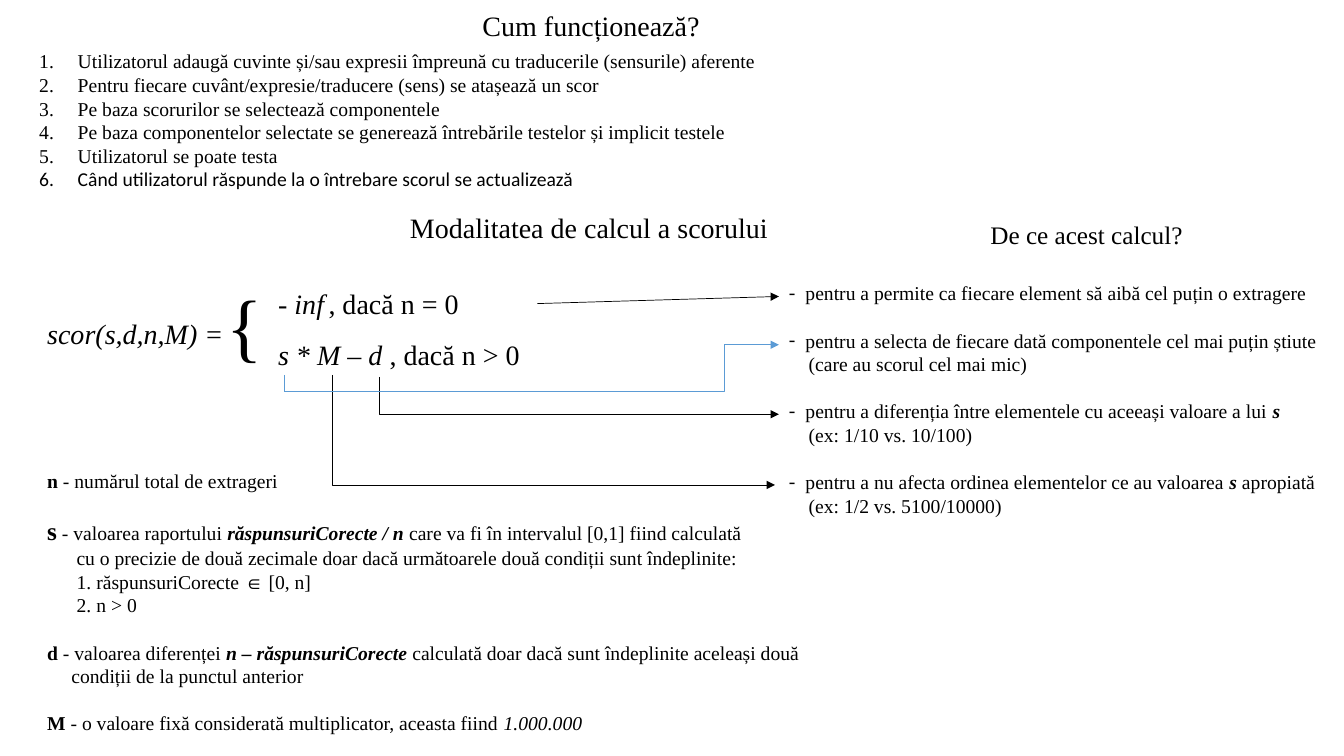
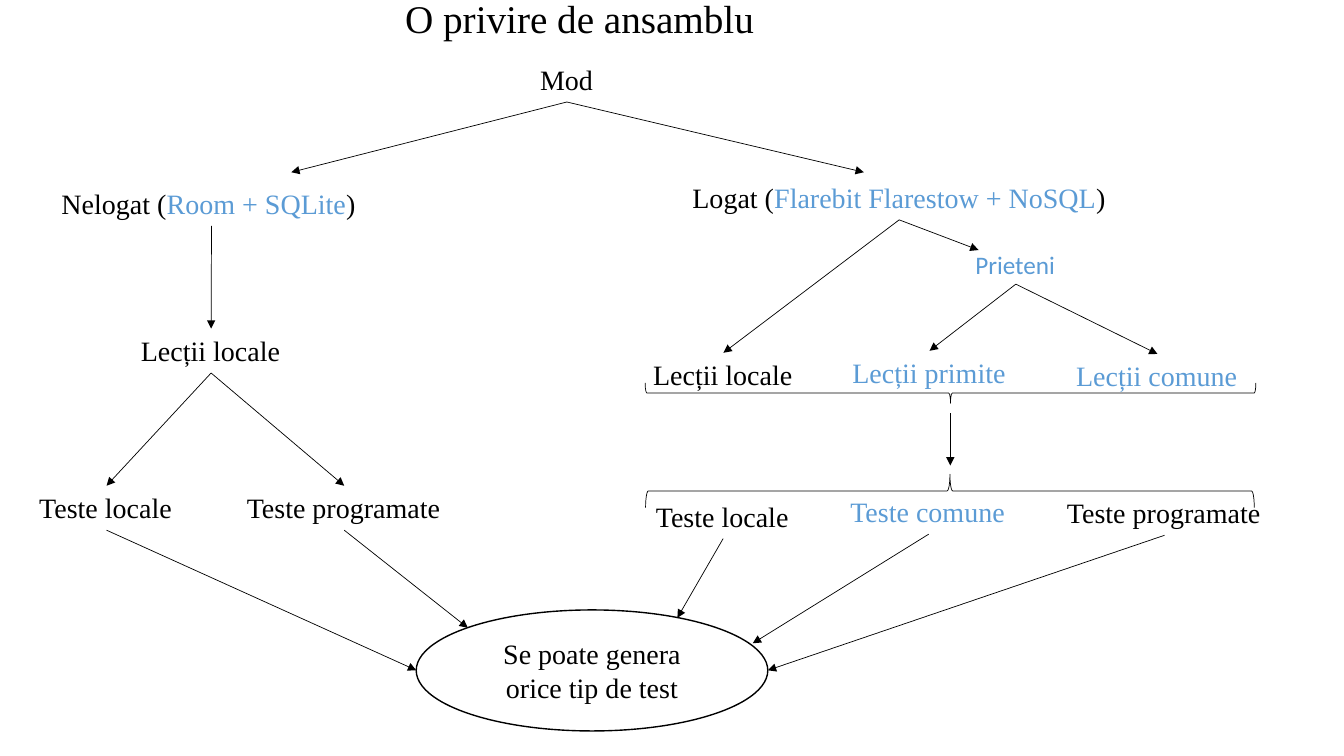
from lxml import etree
from pptx import Presentation
from pptx.dml.color import RGBColor
from pptx.enum.shapes import MSO_CONNECTOR, MSO_SHAPE
from pptx.enum.text import MSO_ANCHOR, MSO_AUTO_SIZE, PP_ALIGN
from pptx.oxml.ns import qn
from pptx.util import Cm, Pt

STRAIGHT, ELBOW = MSO_CONNECTOR.STRAIGHT, MSO_CONNECTOR.ELBOW
OVAL = MSO_SHAPE.OVAL
LEFT_BRACE, RIGHT_BRACE = MSO_SHAPE.LEFT_BRACE, MSO_SHAPE.RIGHT_BRACE
MIDDLE, CENTER = MSO_ANCHOR.MIDDLE, PP_ALIGN.CENTER
GROW = MSO_AUTO_SIZE.SHAPE_TO_FIT_TEXT

COLORS = {"ink": "000000", "blue": "5B9BD5", "paper": "FFFFFF"}
SERIF, SANS = "Times New Roman", "Calibri"
BODY, LABEL = 14, 20
LABEL_H = 1.12
GAP = 17  # points, one body line

# Run styles
B, I, BI = {"bold": True}, {"italic": True}, {"bold": True, "italic": True}
BLUE, CALIBRI = {"color": "blue"}, {"font": SANS}

# Slide 1 content: a paragraph is (layout, runs), a run is (text, style)
NUMBERED = {"left": 0.97, "hang": 0.97, "number": True}
STEPS = [
    (NUMBERED, [(text, style)]) for text, style in [
        ("Utilizatorul adaugă cuvinte și/sau expresii împreună cu traducerile (sensurile) aferente", {}),
        ("Pentru fiecare cuvânt/expresie/traducere (sens) se atașează un scor", {}),
        ("Pe baza scorurilor se selectează componentele", {}),
        ("Pe baza componentelor selectate se generează întrebările testelor și implicit testele", {}),
        ("Utilizatorul se poate testa", {}),
        ("Când utilizatorul răspunde la o întrebare scorul se actualizează", CALIBRI),
    ]
]

CONDITION = {"left": 1.24, "hang": 0.5, "number": True}
SPACED = {"before": GAP}
DEFINITIONS = [
    ({}, [("n", B), (" - numărul total de extrageri", {})]),
    (SPACED, [("s", {"bold": True, "size": 18}), (" ", B), ("- valoarea raportului ", {}),
              ("răspunsuriCorecte / n ", BI),
              ("care va fi în intervalul [0,1] fiind calculată", {})]),
    ({"left": 0.74}, [("cu o precizie de două zecimale doar dacă următoarele două condiții sunt îndeplinite:", {})]),
    (CONDITION, [("răspunsuriCorecte ∈ [0, n]", {})]),
    (CONDITION, [("n > 0", {})]),
    (SPACED, [("d", B), (" - valoarea diferenței ", {}), ("n – răspunsuriCorecte", BI),
              (" calculată doar dacă sunt îndeplinite aceleași două", {})]),
    ({"left": 0.61}, [("condiții de la punctul anterior", {})]),
    (SPACED, [("M", B), (" - o valoare fixă considerată multiplicator, aceasta fiind ", {}),
              ("1.000.000", I)]),
]

DASH = {"left": 0.42, "hang": 0.42, "bullet": "-"}
DASH_SPACED = {**DASH, **SPACED}
ASIDE = {"left": 0.5}
REASONS = [
    (DASH, [("pentru a permite ca fiecare element să aibă cel puțin o extragere", {})]),
    (DASH_SPACED, [("pentru a selecta de fiecare dată componentele cel mai puțin știute", {})]),
    (ASIDE, [("(care au scorul cel mai mic)", {})]),
    (DASH_SPACED, [("pentru a diferenția între elementele cu aceeași valoare a lui ", {}), ("s", BI)]),
    (ASIDE, [("(ex: 1/10 vs. 10/100)", {})]),
    (DASH_SPACED, [("pentru a nu afecta ordinea elementelor ce au valoarea ", {}), ("s", BI),
                   (" apropiată", {})]),
    (ASIDE, [("(ex: 1/2 vs. 5100/10000)", {})]),
]

# left, top, width, size, wrap, paragraphs
FORMULA_TEXTS = [
    (11.91, 0.08, 6.02, LABEL, False, [({}, [("Cum funcționează?", {})])]),
    (0.74, 1.12, 18.69, BODY, False, STEPS),
    (10.08, 5.18, 10, LABEL, True, [({}, [("Modalitatea de calcul a scorului", {})])]),
    (0.94, 7.85, 5.16, LABEL, False, [({}, [("scor(s,d,n,M) = ", I)])]),
    (6.76, 7.09, 7, LABEL, True, [({"tab": 2.92}, [("- inf\t", I), (", dacă n = 0", {})])]),
    (6.76, 8.38, 7, LABEL, True, [({}, [("s * M – d ", I), (", dacă n > 0", {})])]),
    (0.94, 11.68, 32.3, BODY, True, DEFINITIONS),
    (24.71, 5.41, 6, 18, True, [({}, [("De ce acest calcul?", {})])]),
    (19.63, 6.96, 14.2, BODY, True, REASONS),
    (5.46, 6.88, 1.96, 54, True, [({}, [("{", {})])]),
]
# start, end, bend position (None for straight), colour, arrowhead
FORMULA_LINES = [
    ((13.54, 7.65), (19.63, 7.47), None, "ink", True),
    ((8.38, 9.45), (19.53, 12.22), 0, "ink", True),
    ((9.55, 9.5), (19.63, 10.44), 0, "ink", True),
    ((7.16, 9.86), (19.63, 8.69), 0.89, "blue", True),
    ((7.16, 9.45), (7.16, 9.86), None, "blue", False),
]

# Slide 2 content: name -> left, top, width, runs
OVERVIEW_TITLE = (9.96, -0.28, 9.4, 28, False, [({}, [("O privire de ansamblu", {})])])
NODES = {
    "mode": (13.36, 1.45, 1.85, [("Mod", {})]),
    "offline": (1.3, 4.57, 8.05, [("Nelogat (", {}), ("Room + SQLite", BLUE), (")", {})]),
    "online": (17.2, 4.42, 10.92, [("Logat (", {}), ("Flarebit Flarestow + NoSQL", BLUE), (")", {})]),
    "lessons": (3.3, 8.28, 4.04, [("Lecții locale", {})]),
    "tests": (0.74, 12.24, 3.89, [("Teste locale", {})]),
    "scheduled": (5.97, 12.24, 5.41, [("Teste programate", {})]),
    "friends": (24.33, 6.15, 2.54, [("Prieteni", {"color": "blue", "font": SANS, "size": 18})]),
    "own lessons": (16.21, 8.89, 4.04, [("Lecții locale", {})]),
    "received": (21.23, 8.84, 4.39, [("Lecții primite", BLUE)]),
    "shared": (26.87, 8.92, 4.6, [("Lecții comune", BLUE)]),
    "own tests": (16.28, 12.45, 3.89, [("Teste locale", {})]),
    "shared tests": (21.18, 12.34, 4.45, [("Teste comune", BLUE)]),
    "online scheduled": (26.64, 12.37, 5.41, [("Teste programate", {})]),
}
# A link ends at a node's top centre, or at a given point
LINKS = [
    ("mode", (7.34, 4.34)), ("mode", (21.77, 4.34)),
    ("offline", "lessons"), ("lessons", "tests"), ("lessons", "scheduled"),
    ("online", "own lessons"), ("online", (24.66, 6.3)),
    ("friends", "received"), ("friends", "shared"),
    ("tests", (10.49, 16.89)), ("scheduled", (11.79, 15.82)),
    ("own tests", (17.07, 15.57)), ("shared tests", (18.97, 16.21)),
    ("online scheduled", (19.35, 16.89)),
]
BOTTOMS = {"offline": (5.33, 5.69), "online": (22.66, 5.54), "friends": (25.6, 7.16)}
BRACES = [(LEFT_BRACE, 23.7, 2.21, 0.51, 15.39), (RIGHT_BRACE, 23.52, 4.7, 0.84, 15.34)]
BRACE_ARROW = ((23.95, 10.41), (23.95, 11.73))
RESULT = (10.49, 15.37, 8.86, 3.05, "Se poate genera orice tip de test")


def rgb(name):
    return RGBColor.from_string(COLORS[name])


def add_run(p, text, size, style):
    r = p.add_run()
    r.text = text
    f = r.font
    f.name = style.get("font", SERIF)
    f.size = Pt(style.get("size", size))
    f.bold = style.get("bold", False)
    f.italic = style.get("italic", False)
    f.color.rgb = rgb(style.get("color", "ink"))


def lay_out(p, layout):
    p.space_before = Pt(layout.get("before", 0))
    props = p._p.get_or_add_pPr()
    props.set("marL", str(Cm(layout.get("left", 0))))
    props.set("indent", str(-Cm(layout.get("hang", 0))))
    if layout.get("number"):
        etree.SubElement(props, qn("a:buFont"), typeface="+mj-lt")
        etree.SubElement(props, qn("a:buAutoNum"), type="arabicPeriod")
    if "bullet" in layout:
        etree.SubElement(props, qn("a:buFont"), typeface=SERIF)
        etree.SubElement(props, qn("a:buChar"), char=layout["bullet"])
    if "tab" in layout:
        stops = etree.SubElement(props, qn("a:tabLst"))
        etree.SubElement(stops, qn("a:tab"), pos=str(Cm(layout["tab"])), algn="l")


def add_text(s, left, top, width, size, wrap, paragraphs):
    tf = s.shapes.add_textbox(Cm(left), Cm(top), Cm(width), Cm(LABEL_H)).text_frame
    tf.word_wrap = wrap
    tf.auto_size = GROW
    for i, (layout, runs) in enumerate(paragraphs):
        p = tf.add_paragraph() if i else tf.paragraphs[0]
        lay_out(p, layout)
        for text, style in runs:
            add_run(p, text, size, style)


def add_line(s, start, end, bend=None, color="ink", arrow=True):
    kind = STRAIGHT if bend is None else ELBOW
    c = s.shapes.add_connector(kind, *[Cm(v) for v in start + end])
    c.line.color.rgb = rgb(color)
    c.line.width = Pt(0.5)
    props = c._element.spPr
    if arrow:
        etree.SubElement(c.line._get_or_add_ln(), qn("a:tailEnd"), type="triangle")
    if bend is not None:
        guides = props.find(qn("a:prstGeom")).find(qn("a:avLst"))
        etree.SubElement(guides, qn("a:gd"), name="adj1", fmla=f"val {round(bend * 100000)}")
    etree.SubElement(props, qn("a:effectLst"))


def add_outline(s, kind, left, top, width, height, weight):
    sp = s.shapes.add_shape(kind, Cm(left), Cm(top), Cm(width), Cm(height))
    sp.shadow.inherit = False
    sp.fill.background()
    sp.line.color.rgb = rgb("ink")
    sp.line.width = Pt(weight)
    return sp


prs = Presentation()
prs.slide_width, prs.slide_height = Cm(33.87), Cm(19.05)
blank = prs.slide_layouts[6]

# Slide 1: how the score works
s = prs.slides.add_slide(blank)
for block in FORMULA_TEXTS:
    add_text(s, *block)
for line in FORMULA_LINES:
    add_line(s, *line)

# Slide 2: overview tree
s = prs.slides.add_slide(blank)
for left, top, width, runs in NODES.values():
    add_text(s, left, top, width, LABEL, False, [({}, runs)])

left, top, width, height, text = RESULT
sp = add_outline(s, OVAL, left, top, width, height, 1)
sp.fill.solid()
sp.fill.fore_color.rgb = rgb("paper")
tf = sp.text_frame
tf.word_wrap = True
tf.vertical_anchor = MIDDLE
p = tf.paragraphs[0]
p.alignment = CENTER
add_run(p, text, LABEL, {})

for source, target in LINKS:
    left, top, width, _ = NODES[source]
    start = BOTTOMS.get(source, (left + width / 2, top + LABEL_H))
    if target in NODES:
        left, top, width, _ = NODES[target]
        target = (left + width / 2, top)
    add_line(s, start, target)

for kind, left, top, width, height in BRACES:
    add_outline(s, kind, left, top, width, height, 0.5).rotation = 270
add_line(s, *BRACE_ARROW)
add_text(s, *OVERVIEW_TITLE)

prs.save("out.pptx")
